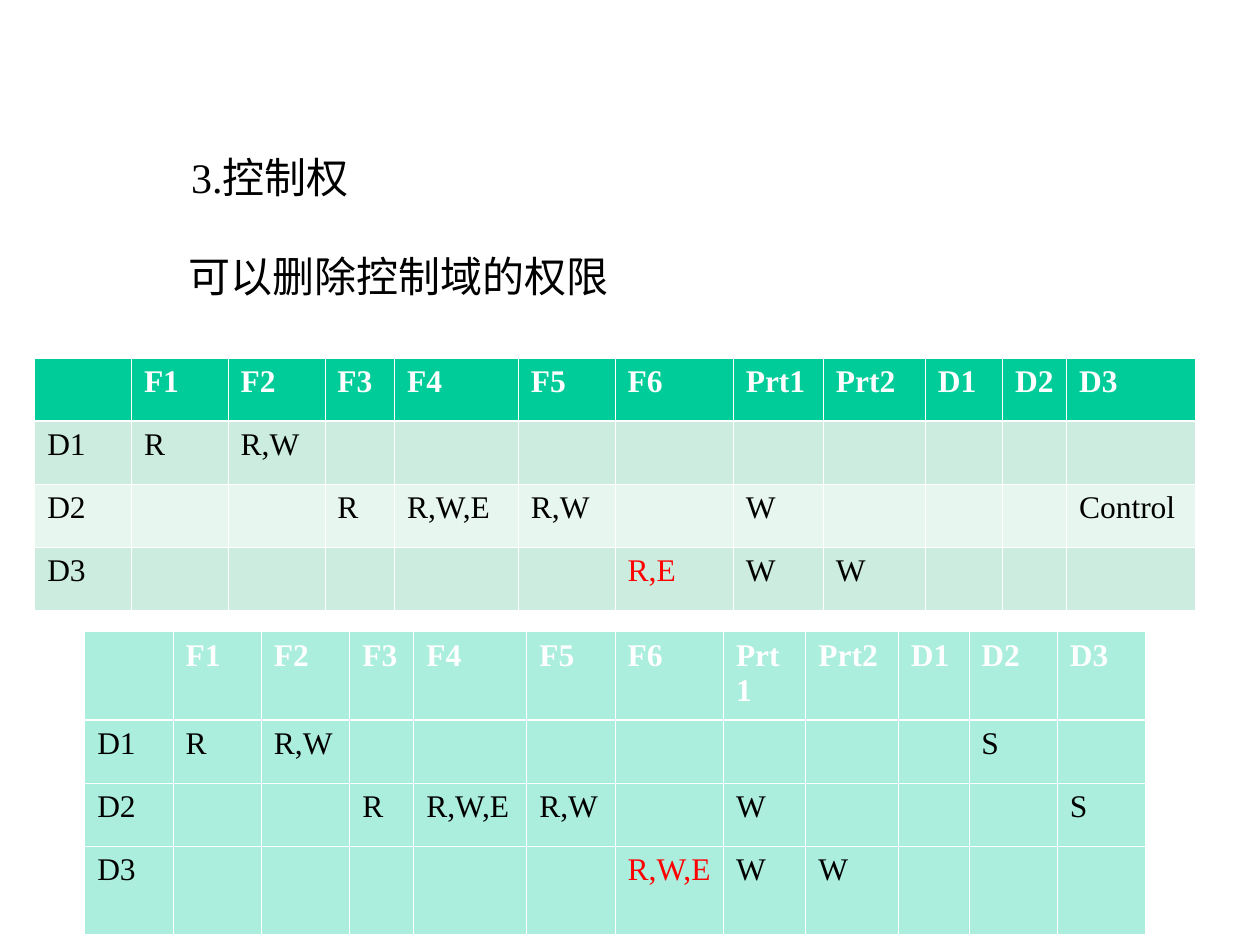
from lxml import etree
from pptx import Presentation
from pptx.dml.color import RGBColor
from pptx.oxml.ns import qn
from pptx.util import Pt

FONT = "Times New Roman"
BLACK = RGBColor(0x00, 0x00, 0x00)
WHITE = RGBColor(0xFF, 0xFF, 0xFF)
RED = RGBColor(0xFF, 0x00, 0x00)
GREEN = RGBColor(0x00, 0xCC, 0x99)
BAND_DARK = RGBColor(0xCB, 0xEC, 0xDE)
BAND_LIGHT = RGBColor(0xE7, 0xF6, 0xEF)


def add_run(p, text, size, color, bold=False):
    r = p.add_run()
    r.text = text
    r.font.name = FONT
    r.font.size = Pt(size)
    r.font.bold = bold
    r.font.color.rgb = color


def add_borders(cell, top, bottom):
    tcPr = cell._tc.get_or_add_tcPr()
    widths = {"a:lnL": 0.45, "a:lnR": 0.45, "a:lnT": top, "a:lnB": bottom}
    for i, (tag, width) in enumerate(widths.items()):
        ln = etree.Element(qn(tag), w=str(Pt(width)))
        fill = etree.SubElement(ln, qn("a:solidFill"))
        etree.SubElement(fill, qn("a:srgbClr"), val=str(WHITE))
        tcPr.insert(i, ln)


prs = Presentation()
prs.slide_width, prs.slide_height = Pt(720), Pt(540)
s = prs.slides.add_slide(prs.slide_layouts[6])

# Headings
headings = [
    ("3.控制权", 102.2, 82.8, 110.2),
    ("可以删除控制域的权限", 100.8, 139.7, 254.2),
]
for text, left, top, width in headings:
    tf = s.shapes.add_textbox(Pt(left), Pt(top), Pt(width), Pt(36)).text_frame
    tf.word_wrap = False
    add_run(tf.paragraphs[0], text, 24, BLACK)

# Access matrices: entries are keyed by domain, then by object
HEADER = ["", "F1", "F2", "F3", "F4", "F5", "F6", "Prt1", "Prt2", "D1", "D2", "D3"]
matrices = [
    {
        "left": 19.8, "top": 204.5,
        "cols": [55.3, 55.3, 55.3, 39.8, 70.8, 55.3, 67.5, 51.5, 58.3, 44.1, 36.6, 73.5],
        "rows": [36, 36, 36, 36],
        "fills": [GREEN, BAND_DARK, BAND_LIGHT, BAND_DARK],
        "alpha": None,
        "rights": {
            "D1": {"F1": "R", "F2": "R,W"},
            "D2": {"F3": "R", "F4": "R,W,E", "F5": "R,W", "Prt1": "W", "D3": "Control"},
            "D3": {"F6": "R,E", "Prt1": "W", "Prt2": "W"},
        },
    },
    {
        "left": 48.4, "top": 361,
        "cols": [50.5, 50.5, 50.5, 36.6, 64.6, 50.5, 61.9, 47.1, 52.9, 40.3, 50.5, 50.5],
        "rows": [50.4, 36, 36, 50.4],
        "fills": [GREEN] * 4,
        "alpha": 33,
        "rights": {
            "D1": {"F1": "R", "F2": "R,W", "D2": "S"},
            "D2": {"F3": "R", "F4": "R,W,E", "F5": "R,W", "Prt1": "W", "D3": "S"},
            "D3": {"F6": "R,W,E", "Prt1": "W", "Prt2": "W"},
        },
    },
]

for m in matrices:
    grid = [HEADER]
    for domain, rights in m["rights"].items():
        grid.append([domain] + [rights.get(name, "") for name in HEADER[1:]])

    table = s.shapes.add_table(
        len(grid), len(HEADER), Pt(m["left"]), Pt(m["top"]),
        Pt(sum(m["cols"])), Pt(sum(m["rows"]))).table
    for col, width in zip(table.columns, m["cols"]):
        col.width = Pt(width)
    for row, height in zip(table.rows, m["rows"]):
        row.height = Pt(height)

    for i, values in enumerate(grid):
        for j, text in enumerate(values):
            cell = table.cell(i, j)
            cell.fill.solid()
            cell.fill.fore_color.rgb = m["fills"][i]
            if m["alpha"]:
                clr = cell._tc.tcPr.find(".//" + qn("a:srgbClr"))
                etree.SubElement(clr, qn("a:alpha"), val=str(m["alpha"] * 1000))
            # A thicker rule parts the header from the body
            add_borders(cell, 1.47 if i == 1 else 0.45, 1.47 if i == 0 else 0.45)
            if text:
                color = WHITE if i == 0 else RED if HEADER[j] == "F6" else BLACK
                add_run(cell.text_frame.paragraphs[0], text, 18, color, bold=i == 0)

prs.save("out.pptx")
